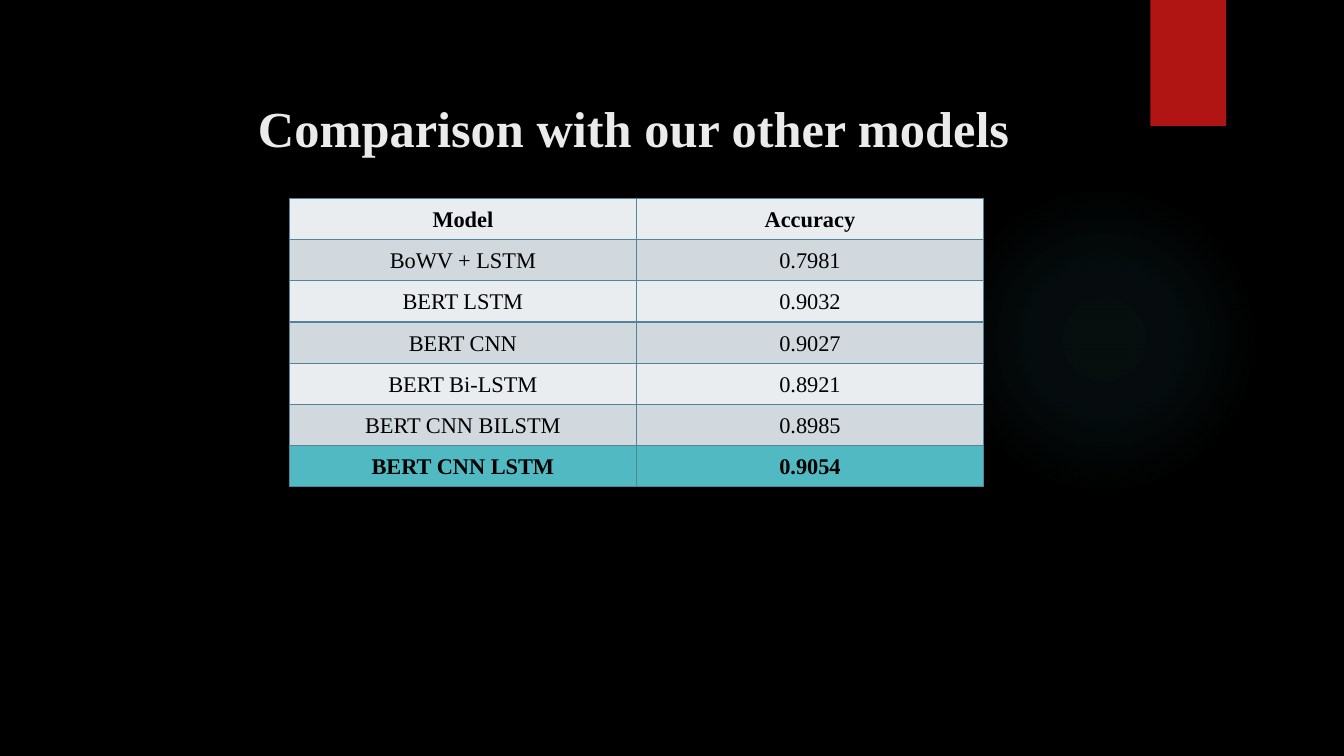
from dataclasses import dataclass

from lxml import etree
from pptx import Presentation
from pptx.dml.color import RGBColor
from pptx.enum.shapes import MSO_SHAPE
from pptx.enum.text import MSO_ANCHOR, PP_ALIGN
from pptx.oxml import parse_xml
from pptx.oxml.ns import nsdecls
from pptx.util import Inches, Pt

CENTER = PP_ALIGN.CENTER
TOP, MIDDLE = MSO_ANCHOR.TOP, MSO_ANCHOR.MIDDLE
OVAL, RECTANGLE = MSO_SHAPE.OVAL, MSO_SHAPE.RECTANGLE

SLIDE_WIDTH, SLIDE_HEIGHT = Inches(13.33), Inches(7.5)
FONT = "Times New Roman"
BLACK, WHITE, RED, TEAL = "000000", "EBEBEB", "B01513", "50B9C1"
LIGHT_BAND, DARK_BAND, BORDER = "E9EDEF", "D1D9DE", "54849A"
GLOW_STOPS = ((0, 7), (36, 6), (69, 0))  # position and opacity in percent


@dataclass(frozen=True)
class Area:
    """A rectangle in percent of the slide's width and height."""
    left: float
    top: float
    width: float
    height: float

    def box(self) -> tuple[int, int, int, int]:
        return (round(SLIDE_WIDTH * self.left / 100),
                round(SLIDE_HEIGHT * self.top / 100),
                round(SLIDE_WIDTH * self.width / 100),
                round(SLIDE_HEIGHT * self.height / 100))


@dataclass(frozen=True)
class ResultRow:
    model: str
    accuracy: str
    fill: str
    bold: bool = False


GLOW_AREA = Area(70.59, 24.4, 23.11, 41.07)
RIBBON_AREA = Area(85.6, 0, 5.63, 16.67)
TITLE_AREA = Area(8.55, 11.47, 77.2, 11.87)
TABLE_AREA = Area(21.53, 26.27, 51.65, 38.13)

RESULTS = (
    ResultRow("Model", "Accuracy", LIGHT_BAND, bold=True),
    ResultRow("BoWV + LSTM", "0.7981", DARK_BAND),
    ResultRow("BERT LSTM", "0.9032", LIGHT_BAND),
    ResultRow("BERT CNN", "0.9027", DARK_BAND),
    ResultRow("BERT Bi-LSTM", "0.8921", LIGHT_BAND),
    ResultRow("BERT CNN BILSTM", "0.8985", DARK_BAND),
    ResultRow("BERT CNN LSTM", "0.9054", TEAL, bold=True),
)


def paint(fill, color: str) -> None:
    fill.solid()
    fill.fore_color.rgb = RGBColor.from_string(color)


def write(frame, text: str, size: float, color: str, bold: bool) -> None:
    frame.text = text
    paragraph = frame.paragraphs[0]
    paragraph.alignment = CENTER
    font = paragraph.runs[0].font
    font.name, font.size, font.bold = FONT, Pt(size), bold
    font.color.rgb = RGBColor.from_string(color)


def add_plain_shape(slide, kind, area: Area, color: str):
    shape = slide.shapes.add_shape(kind, *area.box())
    shape.shadow.inherit = False
    shape.line.fill.background()
    paint(shape.fill, color)
    return shape


def add_glow(slide) -> None:
    """Draw a teal circle that fades out from its centre."""
    glow = add_plain_shape(slide, OVAL, GLOW_AREA, TEAL)
    stops = "".join(
        f'<a:gs pos="{position * 1000}"><a:srgbClr val="{TEAL}">'
        f'<a:alpha val="{opacity * 1000}"/></a:srgbClr></a:gs>'
        for position, opacity in GLOW_STOPS)
    gradient = parse_xml(
        f'<a:gradFill {nsdecls("a")} rotWithShape="1"><a:gsLst>{stops}</a:gsLst>'
        '<a:path path="circle"><a:fillToRect l="50000" t="50000" r="50000" b="50000"/>'
        '</a:path></a:gradFill>')
    properties = glow.element.spPr
    properties.replace(properties.find("{*}solidFill"), gradient)


def add_title(slide) -> None:
    frame = slide.shapes.add_textbox(*TITLE_AREA.box()).text_frame
    frame.word_wrap = True
    frame.vertical_anchor = TOP
    frame.margin_top = Inches(0.1)
    write(frame, "Comparison with our other models", 36, WHITE, bold=True)


def add_borders(cell) -> None:
    properties = cell._tc.get_or_add_tcPr()
    for side in ("lnL", "lnR", "lnT", "lnB"):
        line = parse_xml(f'<a:{side} {nsdecls("a")} w="{Pt(1)}"/>')
        solid = etree.SubElement(line, f"{{{line.nsmap['a']}}}solidFill")
        etree.SubElement(solid, f"{{{line.nsmap['a']}}}srgbClr", val=BORDER)
        properties.append(line)


def fill_cell(cell, text: str, result: ResultRow) -> None:
    add_borders(cell)
    paint(cell.fill, result.fill)
    cell.vertical_anchor = MIDDLE
    cell.margin_left = cell.margin_right = Inches(0.07)
    cell.margin_top = cell.margin_bottom = 0
    write(cell.text_frame, text, 16, BLACK, result.bold)
    cell.text_frame.paragraphs[0].line_spacing = 1.07


def add_results(slide) -> None:
    table = slide.shapes.add_table(len(RESULTS), 2, *TABLE_AREA.box()).table
    table.first_row = table.horz_banding = False
    for row, result in enumerate(RESULTS):
        for column, text in enumerate((result.model, result.accuracy)):
            fill_cell(table.cell(row, column), text, result)


def main() -> None:
    presentation = Presentation()
    presentation.slide_width, presentation.slide_height = SLIDE_WIDTH, SLIDE_HEIGHT
    slide = presentation.slides.add_slide(presentation.slide_layouts[6])
    paint(slide.background.fill, BLACK)
    add_glow(slide)
    add_plain_shape(slide, RECTANGLE, RIBBON_AREA, RED)
    add_title(slide)
    add_results(slide)
    presentation.save("out.pptx")


if __name__ == "__main__":
    main()
